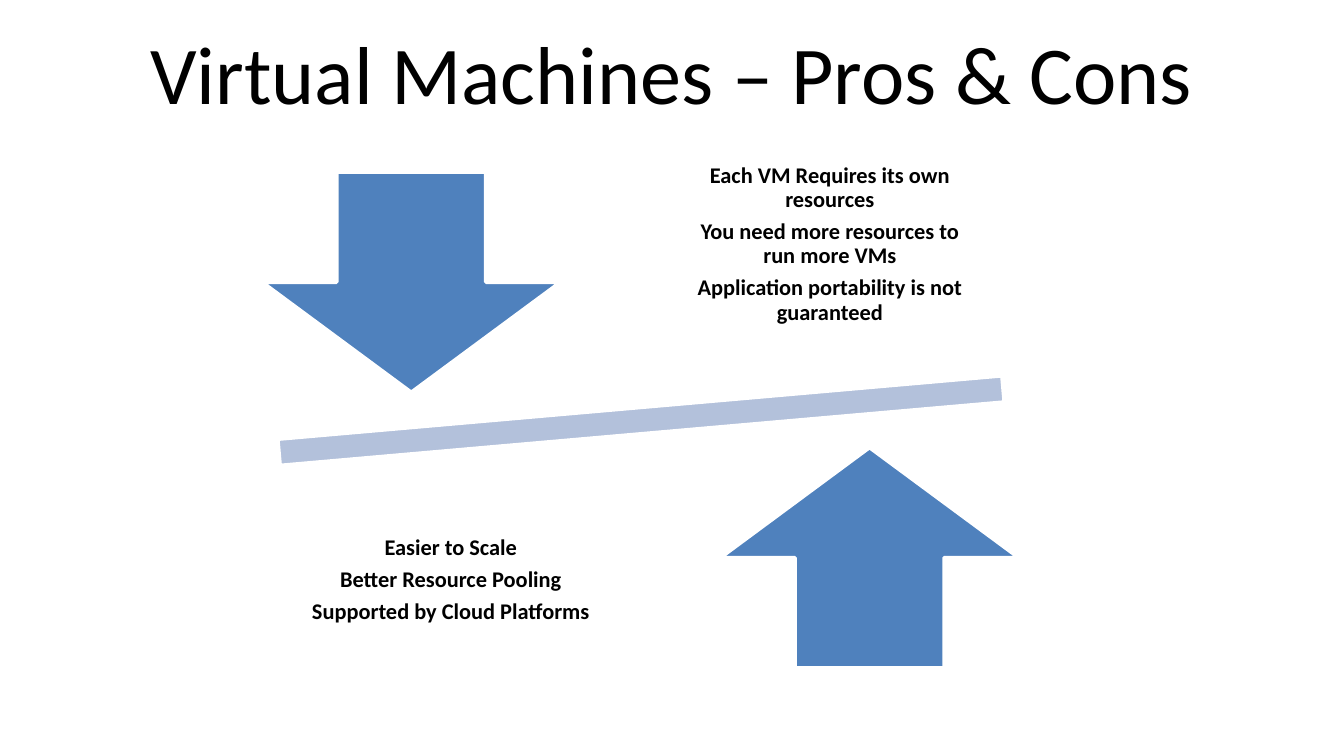
from pptx import Presentation
from pptx.dml.color import RGBColor
from pptx.enum.shapes import MSO_SHAPE as Shape
from pptx.enum.text import MSO_ANCHOR as Anchor, PP_ALIGN as Align
from pptx.util import Inches, Pt

# Content
TITLE = "Virtual Machines – Pros & Cons"
CONS = [
    "Each VM Requires its own resources",
    "You need more resources to run more VMs",
    "Application portability is not guaranteed",
]
PROS = ["Easier to Scale", "Better Resource Pooling", "Supported by Cloud Platforms"]

# Style and layout, in inches
FONT = "Calibri"
BLACK, WHITE, BLUE, PALE_BLUE = "000000", "FFFFFF", "4F81BD", "B3C1DB"
ARROW_SIZE = (2.22, 1.64)
LIST_SIZE = (2.37, 1.72)

SHAPES = [  # preset, box, rotation, fill
    (Shape.MATH_MINUS, (1.09, 2.71, 7.36, 0.84), -5, PALE_BLUE),
    (Shape.DOWN_ARROW, (1.95, 1.28, *ARROW_SIZE), 0, BLUE),
    (Shape.UP_ARROW, (5.36, 3.33, *ARROW_SIZE), 0, BLUE),
]
TEXTS = [  # lines, box, margin, size, bold, line spacing, space after
    ([TITLE], (0.5, 0.06, 9, 0.94), 0.05, 44, False, 1.0, 0),
    (CONS, (4.99, 0.96, *LIST_SIZE), 0.09, 12, True, 0.9, 4.2),
    (PROS, (2.17, 3.46, *LIST_SIZE), 0.09, 12, True, 0.9, 4.2),
]


def color(value):
    return RGBColor.from_string(value)


def add_shape(slide, preset, box, rotation, fill):
    shape = slide.shapes.add_shape(preset, *map(Inches, box))
    shape.rotation = rotation
    shape.shadow.inherit = False
    shape.fill.solid()
    shape.fill.fore_color.rgb = color(fill)
    shape.line.color.rgb = color(WHITE)
    shape.line.width = Pt(2)


def add_text(slide, lines, box, margin, size, bold, line_spacing, space_after):
    frame = slide.shapes.add_textbox(*map(Inches, box)).text_frame
    frame.word_wrap = True
    frame.vertical_anchor = Anchor.MIDDLE
    frame.margin_left = frame.margin_right = Inches(margin)
    frame.margin_top = frame.margin_bottom = Inches(margin)
    for index, line in enumerate(lines):
        paragraph = frame.add_paragraph() if index else frame.paragraphs[0]
        paragraph.alignment = Align.CENTER
        paragraph.line_spacing = line_spacing
        paragraph.space_after = Pt(space_after)
        run = paragraph.add_run()
        run.text = line
        run.font.name = FONT
        run.font.size = Pt(size)
        run.font.bold = bold
        run.font.color.rgb = color(BLACK)


def main():
    presentation = Presentation()
    presentation.slide_width = Inches(10)
    presentation.slide_height = Inches(10 * 9 / 16)
    slide = presentation.slides.add_slide(presentation.slide_layouts[6])

    # Balance beam and arrows
    for item in SHAPES:
        add_shape(slide, *item)

    # Title, cons and pros
    for item in TEXTS:
        add_text(slide, *item)

    presentation.save("out.pptx")


if __name__ == "__main__":
    main()
